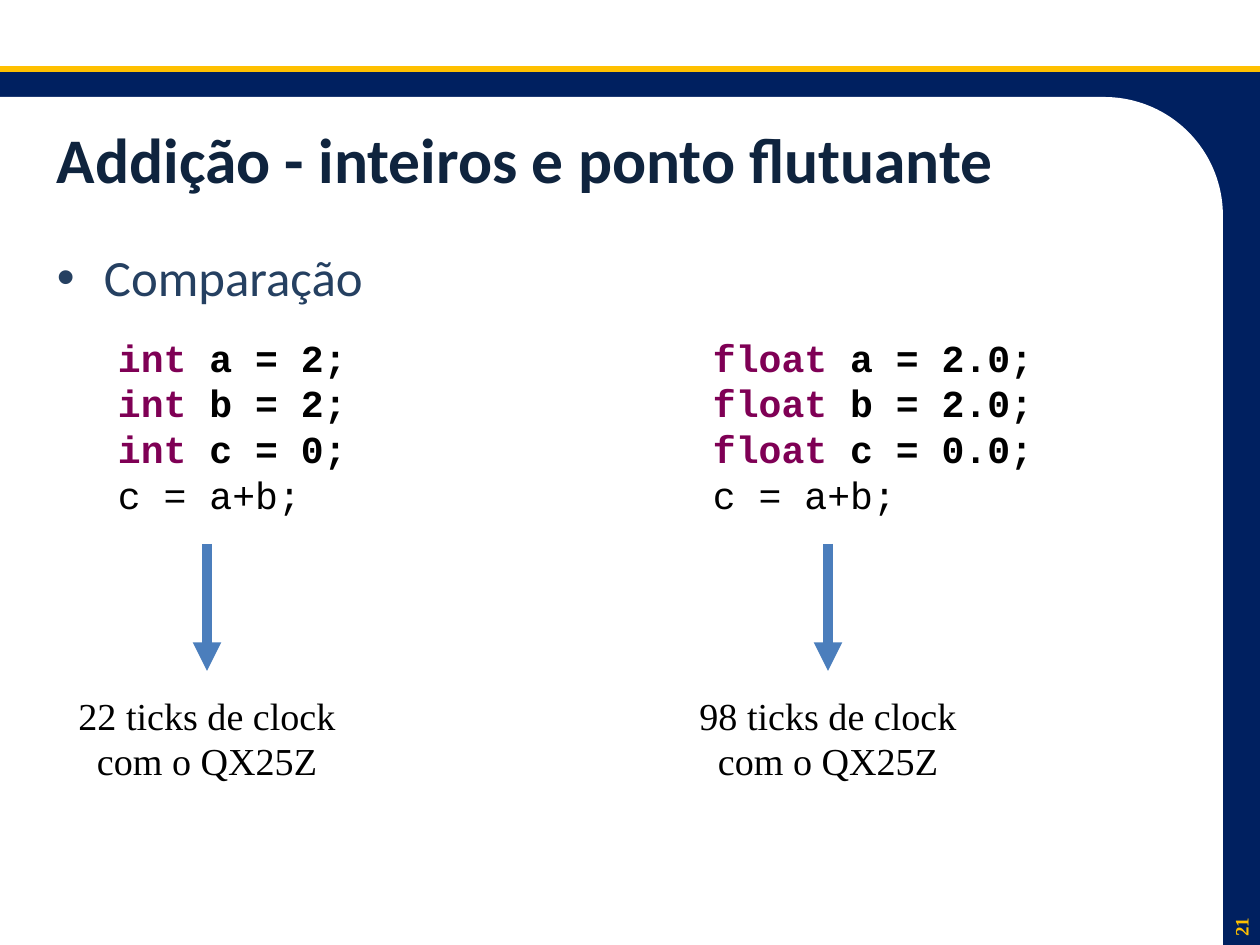
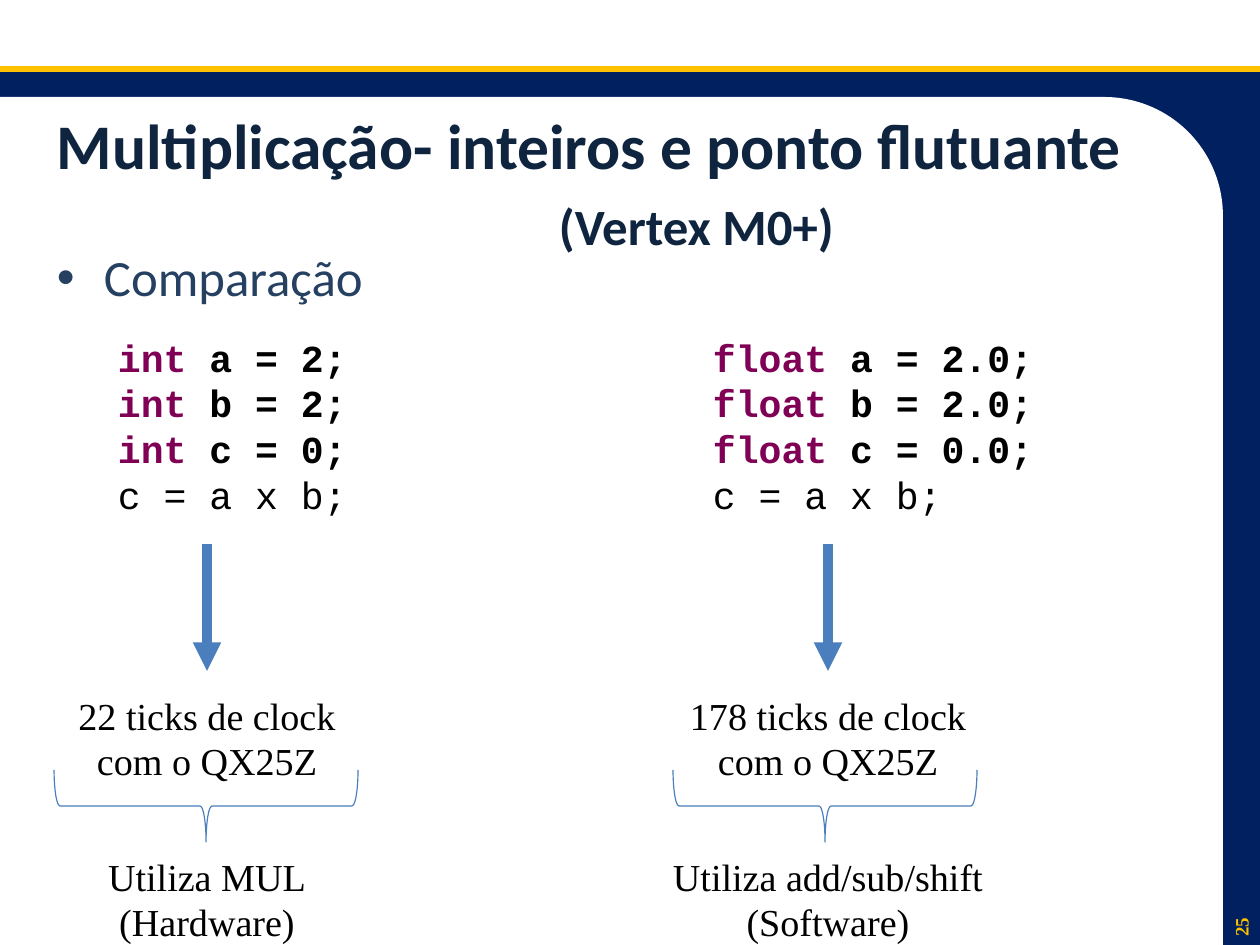
from dataclasses import dataclass

from lxml.etree import SubElement
from pptx import Presentation
from pptx.dml.color import RGBColor
from pptx.enum.shapes import MSO_CONNECTOR, MSO_SHAPE
from pptx.enum.text import MSO_ANCHOR, PP_ALIGN
from pptx.oxml.ns import qn
from pptx.util import Pt

PIXEL = 8000
WIDTH, HEIGHT = 1260, 945


@dataclass(frozen=True)
class Theme:
    """Colours, fonts and type sizes shared by the slides."""
    navy: str = "002060"
    gold: str = "FFC000"
    white: str = "FFFFFF"
    black: str = "000000"
    title: str = "0F243E"
    body: str = "254061"
    keyword: str = "7F0055"
    accent: str = "4B7EBC"
    heading_font: str = "Calibri"
    code_font: str = "Courier New"
    caption_font: str = "Times New Roman"
    title_size: int = 40
    body_size: int = 32
    text_size: int = 24
    number_size: int = 12


@dataclass(frozen=True)
class Column:
    """Horizontal places and declarations of one compared number type."""
    centre: int
    code_left: int
    brace_centre: int
    keyword: str
    values: tuple


COLUMNS = (
    Column(207, 107, 206, "int", ("2", "2", "0")),
    Column(828, 702, 825, "float", ("2.0", "2.0", "0.0")),
)


class Painter:
    """Draws styled elements on the current slide, measured in pixels."""

    def __init__(self, deck, theme):
        self.deck = deck
        self.theme = theme
        self.page = None

    def start_page(self, number):
        self.page = self.deck.slides.add_slide(self.deck.slide_layouts[6])
        theme = self.theme
        self.block(MSO_SHAPE.RECTANGLE, 0, 72, WIDTH, HEIGHT - 72, theme.navy)
        panel = self.block(MSO_SHAPE.ROUND_1_RECTANGLE, 0, 97, 1223, HEIGHT - 97, theme.white)
        panel.adjustments[0] = 0.14
        self.block(MSO_SHAPE.RECTANGLE, 0, 66, WIDTH, 6, theme.gold)
        box = self.text_box(1157, 842, 168, 37, (8, 7), MSO_ANCHOR.MIDDLE)
        box.rotation = 270
        para = box.text_frame.paragraphs[0]
        para.text = str(number)
        self.style(para.font, theme.caption_font, theme.number_size, theme.gold, True)

    def block(self, kind, left, top, width, height, colour):
        shape = self.page.shapes.add_shape(
            kind, left * PIXEL, top * PIXEL, width * PIXEL, height * PIXEL)
        shape.shadow.inherit = False
        shape.fill.solid()
        shape.fill.fore_color.rgb = RGBColor.from_string(colour)
        shape.line.fill.background()
        return shape

    def text_box(self, left, top, width, height, inset=(11, 6), anchor=MSO_ANCHOR.TOP):
        box = self.page.shapes.add_textbox(
            left * PIXEL, top * PIXEL, width * PIXEL, height * PIXEL)
        frame = box.text_frame
        frame.word_wrap = True
        frame.vertical_anchor = anchor
        frame.margin_left = frame.margin_right = inset[0] * PIXEL
        frame.margin_top = frame.margin_bottom = inset[1] * PIXEL
        return box

    def style(self, font, name, size, colour, bold=False):
        font.name = name
        font.size = Pt(size)
        font.bold = bold
        font.color.rgb = RGBColor.from_string(colour)

    def indent(self, para, left, first=0):
        properties = para._p.get_or_add_pPr()
        properties.set("marL", str(left * PIXEL))
        properties.set("indent", str(first * PIXEL))
        return properties

    def title(self, text, top, subtitle=None):
        theme = self.theme
        frame = self.text_box(45, top, 1134, 123, (12, 7), MSO_ANCHOR.MIDDLE).text_frame
        para = frame.paragraphs[0]
        para.text = text
        self.style(para.font, theme.heading_font, theme.title_size, theme.title, True)
        if subtitle:
            para = frame.add_paragraph()
            para.text = subtitle
            para.space_before = Pt(8)
            self.indent(para, 502)
            self.style(para.font, theme.heading_font, theme.body_size, theme.title, True)

    def bullet(self, text):
        theme = self.theme
        para = self.text_box(45, 239, 1134, 72, (12, 7)).text_frame.paragraphs[0]
        para.text = text
        self.style(para.font, theme.heading_font, theme.body_size, theme.body)
        properties = self.indent(para, 47, -47)
        SubElement(properties, qn("a:buFont")).set("typeface", "Arial")
        SubElement(properties, qn("a:buChar")).set("char", "•")

    def code(self, column, statement):
        theme = self.theme
        frame = self.text_box(column.code_left, 328, 420, 197).text_frame
        para = frame.paragraphs[0]
        for name, value in zip("abc", column.values):
            for text, colour in ((f"{column.keyword} ", theme.keyword),
                                 (f"{name} = {value};", theme.black)):
                span = para.add_run()
                span.text = text
                self.style(span.font, theme.code_font, theme.text_size, colour, True)
            para = frame.add_paragraph()
        para.text = statement
        self.style(para.font, theme.code_font, theme.text_size, theme.black)

    def arrow(self, centre):
        arrow = self.page.shapes.add_connector(
            MSO_CONNECTOR.STRAIGHT, centre * PIXEL, 544 * PIXEL, centre * PIXEL, 671 * PIXEL)
        arrow.line.width = Pt(6)
        arrow.line.color.rgb = RGBColor.from_string(self.theme.accent)
        SubElement(arrow.line._get_or_add_ln(), qn("a:tailEnd")).set("type", "triangle")
        SubElement(arrow._element.spPr, qn("a:effectLst"))

    def caption(self, centre, top, *lines, width=306):
        theme = self.theme
        frame = self.text_box(centre - width // 2, top, width, 104).text_frame
        frame.text = "\n".join(lines)
        for para in frame.paragraphs:
            para.alignment = PP_ALIGN.CENTER
            self.style(para.font, theme.caption_font, theme.text_size, theme.black)

    def brace(self, centre):
        brace = self.block(MSO_SHAPE.RIGHT_BRACE, centre - 36, 654, 72, 304, self.theme.white)
        brace.fill.background()
        brace.rotation = 90
        brace.line.width = Pt(0.75)
        brace.line.color.rgb = RGBColor.from_string(self.theme.accent)

    def comparison(self, statement, ticks):
        self.bullet("Comparação")
        for column, count in zip(COLUMNS, ticks):
            self.code(column, statement)
            self.arrow(column.centre)
            self.caption(column.centre, 686, f"{count} ticks de clock com o QX25Z")


def build_addition(painter):
    """Build the addition slide."""
    painter.start_page(21)
    painter.title("Addição - inteiros e ponto flutuante", 97)
    painter.comparison("c = a+b;", (22, 98))


def build_multiplication(painter):
    """Build the multiplication slide."""
    painter.start_page(25)
    painter.title("Multiplicação- inteiros e ponto flutuante", 119, "(Vertex M0+)")
    painter.comparison("c = a x b;", (22, 178))
    methods = (("Utiliza MUL", "(Hardware)"), ("Utiliza add/sub/shift", "(Software)"))
    for column, lines in zip(COLUMNS, methods):
        painter.brace(column.brace_centre)
        painter.caption(column.centre, 847, *lines, width=416)


def main():
    """Build and save the deck."""
    deck = Presentation()
    deck.slide_width = WIDTH * PIXEL
    deck.slide_height = HEIGHT * PIXEL
    painter = Painter(deck, Theme())
    build_addition(painter)
    build_multiplication(painter)
    deck.save("out.pptx")


main()
